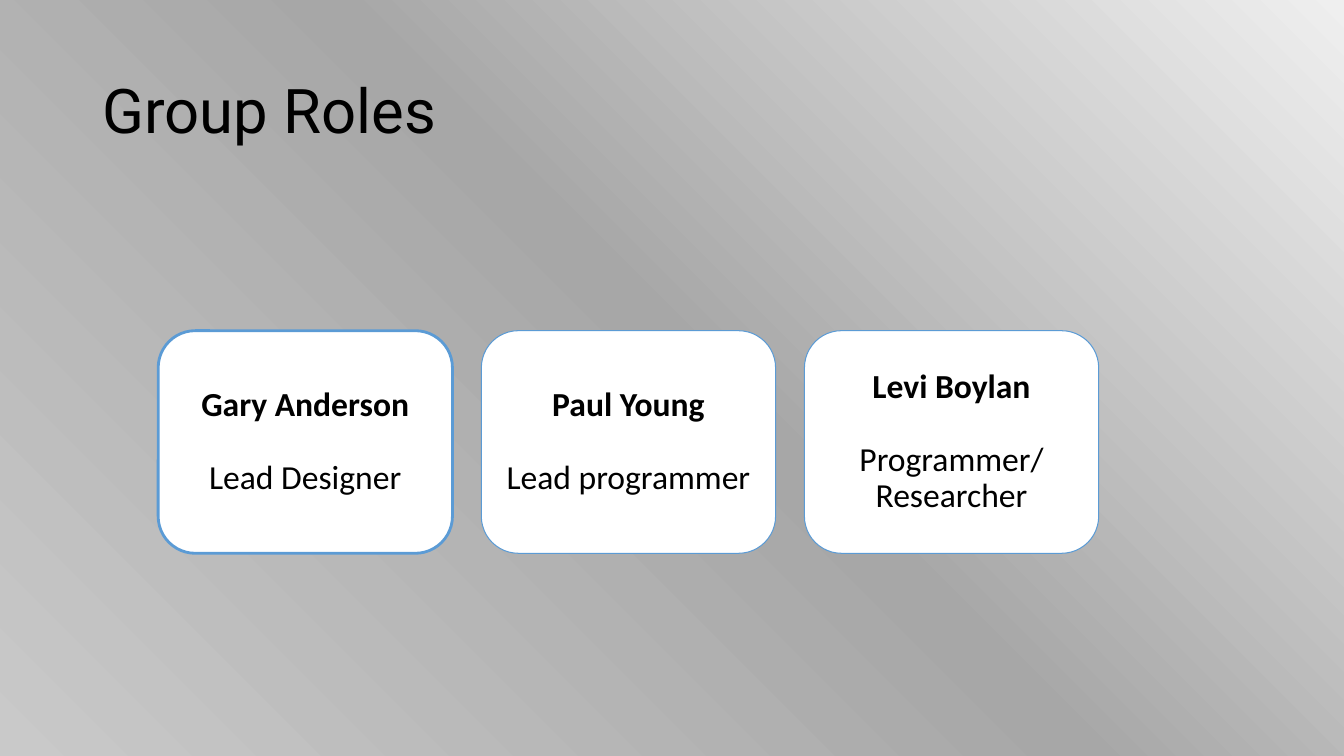
from lxml.etree import SubElement
from pptx import Presentation
from pptx.dml.color import RGBColor
from pptx.enum.shapes import MSO_SHAPE
from pptx.enum.text import MSO_ANCHOR, PP_ALIGN
from pptx.oxml.ns import qn
from pptx.util import Pt

BLACK = RGBColor(0x00, 0x00, 0x00)
WHITE = RGBColor(0xFF, 0xFF, 0xFF)
BLUE = RGBColor(0x5B, 0x9B, 0xD5)
LIGHT_GRAY = RGBColor(0xEF, 0xEF, 0xEF)
DARK_GRAY = RGBColor(0xA7, 0xA7, 0xA7)
MID_GRAY = RGBColor(0xC9, 0xC9, 0xC9)

CARD_LEFT, CARD_TOP = 113, 236.2
CARD_WIDTH, CARD_HEIGHT = 210.2, 159
CARD_STEP = 230.8
BLANK_LINE = 26.4

MEMBERS = [
    ("Gary Anderson", ["Lead Designer"], 2),
    ("Paul Young", ["Lead programmer"], 0.75),
    ("Levi Boylan", ["Programmer/", "Researcher"], 0.75),
]


def write(paragraph, text, font="Calibri", size=24, bold=False,
          align=PP_ALIGN.CENTER, before=0):
    paragraph.alignment = align
    paragraph.line_spacing = 0.9
    paragraph.space_before = Pt(before)
    run = paragraph.add_run()
    run.text = text
    run.font.name = font
    run.font.size = Pt(size)
    run.font.bold = bold
    run.font.color.rgb = BLACK


class RolesSlide:
    def __init__(self, presentation):
        self.slide = presentation.slides.add_slide(presentation.slide_layouts[5])

    def background(self, stops):
        """Fill the slide with a gradient that starts in the top right corner."""
        self.slide.background.fill.gradient()
        gradient = self.slide.element.find(".//" + qn("a:gradFill"))
        for child in list(gradient):
            gradient.remove(child)
        stop_list = SubElement(gradient, qn("a:gsLst"))
        for percent, color in stops:
            stop = SubElement(stop_list, qn("a:gs"), pos=str(percent * 1000))
            SubElement(stop, qn("a:srgbClr"), val=str(color))
        circle = SubElement(gradient, qn("a:path"), path="circle")
        SubElement(circle, qn("a:fillToRect"), l="100000", b="100000")
        SubElement(gradient, qn("a:tileRect"), t="-100000", r="-100000")

    def frame(self, shape):
        frame = shape.text_frame
        frame.word_wrap = True
        frame.vertical_anchor = MSO_ANCHOR.MIDDLE
        frame.margin_left = frame.margin_right = Pt(7.2)
        frame.margin_top = frame.margin_bottom = Pt(7.2)
        return frame

    def title(self, text):
        title = self.slide.shapes.title
        title.left, title.top = Pt(66), Pt(28.8)
        title.width, title.height = Pt(828), Pt(104.4)
        write(self.frame(title).paragraphs[0], text, font="Roboto", size=44,
              align=PP_ALIGN.LEFT)

    def card(self, left, name, roles, line_width):
        card = self.slide.shapes.add_shape(
            MSO_SHAPE.ROUNDED_RECTANGLE, Pt(left), Pt(CARD_TOP),
            Pt(CARD_WIDTH), Pt(CARD_HEIGHT))
        card.shadow.inherit = False
        card.fill.solid()
        card.fill.fore_color.rgb = WHITE
        card.line.color.rgb = BLUE
        card.line.width = Pt(line_width)
        frame = self.frame(card)
        write(frame.paragraphs[0], name, bold=True)
        for index, role in enumerate(roles):
            write(frame.add_paragraph(), role,
                  before=BLANK_LINE if index == 0 else 0)


def main():
    presentation = Presentation()
    presentation.slide_width, presentation.slide_height = Pt(960), Pt(540)
    roles_slide = RolesSlide(presentation)
    roles_slide.background([(0, LIGHT_GRAY), (48, DARK_GRAY), (100, MID_GRAY)])
    roles_slide.title("Group Roles")
    for index, member in enumerate(MEMBERS):
        roles_slide.card(CARD_LEFT + index * CARD_STEP, *member)
    presentation.save("out.pptx")


if __name__ == "__main__":
    main()
